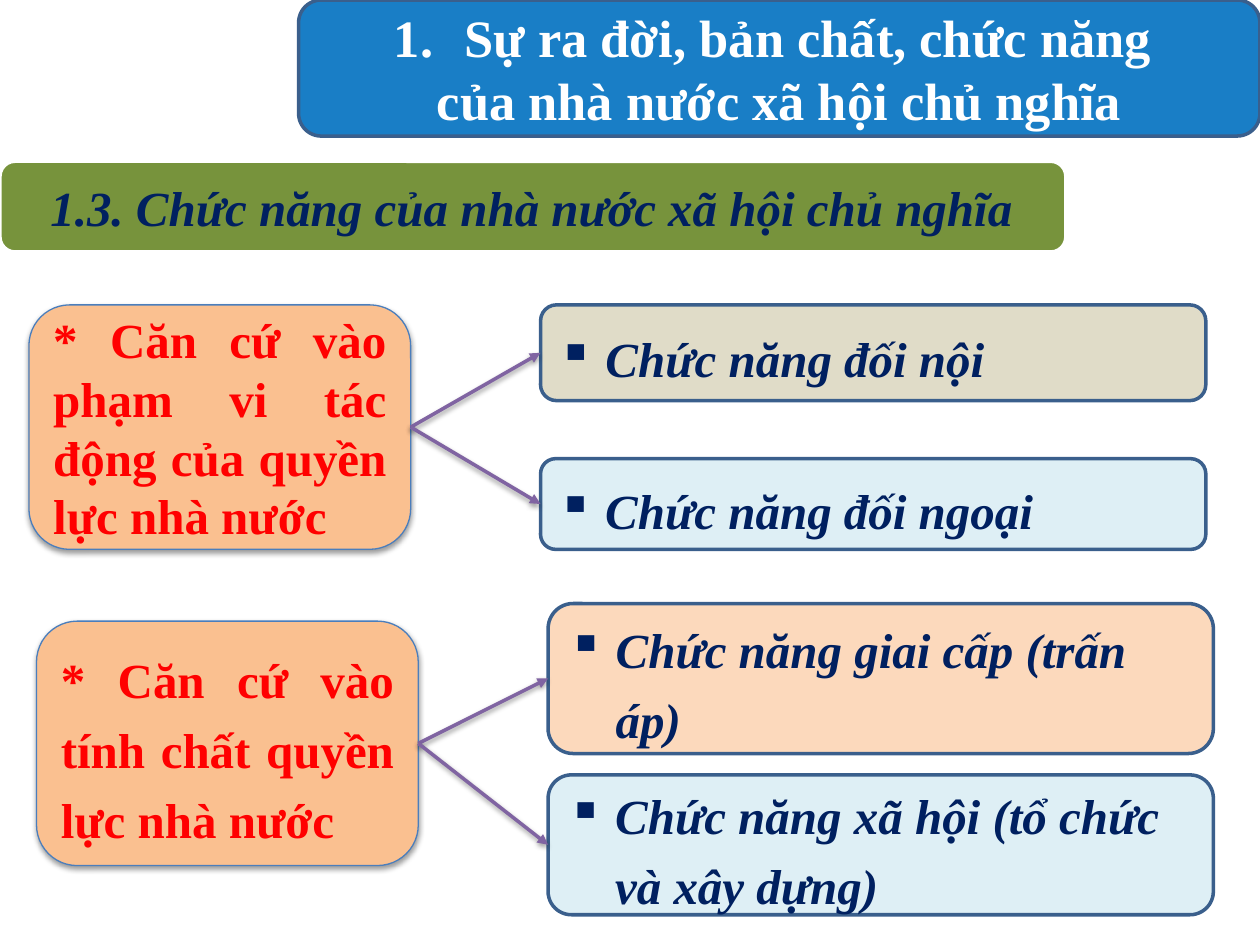
from dataclasses import dataclass

from lxml import etree
from pptx import Presentation
from pptx.dml.color import RGBColor
from pptx.enum.shapes import MSO_CONNECTOR, MSO_SHAPE
from pptx.enum.text import MSO_ANCHOR, PP_ALIGN
from pptx.oxml.ns import qn
from pptx.util import Inches, Pt

ROUNDED = MSO_SHAPE.ROUNDED_RECTANGLE
STRAIGHT = MSO_CONNECTOR.STRAIGHT
MIDDLE = MSO_ANCHOR.MIDDLE
LEFT, CENTER, JUSTIFY = PP_ALIGN.LEFT, PP_ALIGN.CENTER, PP_ALIGN.JUSTIFY
LEFT_SIDE, RIGHT_SIDE = 1, 3
COLUMNS, ROWS = 100, 75


@dataclass(frozen=True)
class Theme:
    """Colours, font and type sizes of the slide."""
    font: str = "Times New Roman"
    title_size: int = 30
    body_size: int = 28
    leading: int = 40
    white: str = "FFFFFF"
    navy: str = "002060"
    red: str = "FF0000"
    title_blue: str = "0070C0"
    green: str = "77933C"
    orange: str = "FAC090"
    sand: str = "DDD9C3"
    ice: str = "DBEEF4"
    peach: str = "FCD5B5"
    frame: str = "3A5F8C"
    basis_frame: str = "4B7EBC"
    arrow: str = "8064A2"


THEME = Theme()


def grid(deck, *cells):
    """Turn alternating column and row counts into slide lengths."""
    units = (deck.slide_width / COLUMNS, deck.slide_height / ROWS)
    return [round(cell * units[index % 2]) for index, cell in enumerate(cells)]


def add_element(parent, tag, **values):
    """Append a DrawingML child with the given attributes."""
    child = etree.SubElement(parent, qn(tag))
    for name, value in values.items():
        child.set(name, str(value))
    return child


def add_shadow(effects):
    """Put a soft downward shadow in an effect list."""
    shadow = add_element(effects, "a:outerShdw", blurRad=Pt(3.1), dist=Pt(1.6),
                         dir=5400000, rotWithShape=0)
    color = add_element(shadow, "a:srgbClr", val="000000")
    add_element(color, "a:alpha", val=38000)


def add_panel(page, area, fill, line, width=2, opacity=100, shadow=False):
    """Draw a rounded panel."""
    panel = page.shapes.add_shape(ROUNDED, *area)
    panel.shadow.inherit = False
    panel.fill.solid()
    panel.fill.fore_color.rgb = RGBColor.from_string(fill)
    panel.line.color.rgb = RGBColor.from_string(line)
    panel.line.width = Pt(width)
    properties = panel._element.spPr
    if opacity < 100:
        color = properties.find(qn("a:solidFill")).find(qn("a:srgbClr"))
        add_element(color, "a:alpha", val=opacity * 1000)
    if shadow:
        add_shadow(properties.find(qn("a:effectLst")))
    return panel


def write(box, lines, color, size=THEME.body_size, align=LEFT, leading=None,
          italic=False, hanging=0, bullet=None):
    """Write lines in a box, with an optional bullet on the first one."""
    frame = box.text_frame
    frame.word_wrap = True
    frame.vertical_anchor = MIDDLE
    for index, line in enumerate(lines):
        para = frame.paragraphs[0] if index == 0 else frame.add_paragraph()
        para.alignment = align
        if leading:
            para.line_spacing = Pt(leading)
        if bullet and index == 0:
            properties = para._p.get_or_add_pPr()
            properties.set("marL", str(Inches(hanging)))
            properties.set("indent", str(-Inches(hanging)))
            tag, values = bullet
            add_element(properties, tag, **values)
        span = para.add_run()
        span.text = line
        formats = {"name": THEME.font, "size": Pt(size), "bold": True, "italic": italic}
        for name, value in formats.items():
            setattr(span.font, name, value)
        span.font.color.rgb = RGBColor.from_string(color)


def add_arrow(page, source, target):
    """Join the right side of one panel to the left side of another."""
    arrow = page.shapes.add_connector(STRAIGHT, 0, 0, 0, 0)
    arrow.begin_connect(source, RIGHT_SIDE)
    arrow.end_connect(target, LEFT_SIDE)
    arrow.line.color.rgb = RGBColor.from_string(THEME.arrow)
    arrow.line.width = Pt(2)
    properties = arrow._element.spPr
    add_element(properties.find(qn("a:ln")), "a:tailEnd", type="triangle")
    add_shadow(add_element(properties, "a:effectLst"))


def add_title(deck, page, area):
    """Draw the numbered chapter title."""
    panel = add_panel(page, grid(deck, *area), THEME.title_blue, THEME.frame, opacity=90)
    lines = ["Sự ra đời, bản chất, chức năng ", "của nhà nước xã hội chủ nghĩa"]
    write(panel, lines, THEME.white, THEME.title_size, CENTER, hanging=0.56,
          bullet=("a:buAutoNum", {"type": "arabicPeriod"}))


def add_section(deck, page, area):
    """Draw the section band and its heading."""
    left, top, width, height = area
    add_panel(page, grid(deck, *area), THEME.green, THEME.white)
    heading = page.shapes.add_textbox(
        *grid(deck, left + 1.6, top + 0.4, width - 1, height - 0.7))
    margins = {"margin_left": 0.24, "margin_top": 0, "margin_right": 0.24, "margin_bottom": 0}
    for name, value in margins.items():
        setattr(heading.text_frame, name, Inches(value))
    write(heading, ["1.3. Chức năng của nhà nước xã hội chủ nghĩa"], THEME.navy, italic=True)


def add_branches(deck, page, area, basis, basis_drop, basis_leading, functions):
    """Draw a basis panel with arrows to functions at the top and bottom of the area."""
    left, top, width, height = area
    source = add_panel(page, grid(deck, left, top + basis_drop, 30.3, 19.4),
                       THEME.orange, THEME.basis_frame, 0.75, shadow=True)
    write(source, [basis], THEME.red, align=JUSTIFY, leading=basis_leading)
    for index, (text, fill, rows) in enumerate(functions):
        place = (left + 40.6, top + index * (height - rows), width - 40.6, rows)
        target = add_panel(page, grid(deck, *place), fill, THEME.frame, opacity=90)
        write(target, [text], THEME.navy, leading=THEME.leading, italic=True,
              hanging=0.38, bullet=("a:buChar", {"char": "▪"}))
        add_arrow(page, source, target)


def main():
    """Build and save the slide."""
    deck = Presentation()
    deck.slide_width, deck.slide_height = Inches(10), Inches(7.5)
    page = deck.slides.add_slide(deck.slide_layouts[6])
    add_section(deck, page, (0, 12.8, 84.6, 7.2))
    add_title(deck, page, (23.7, 0, 76.3, 10.8))
    add_branches(deck, page, (2.3, 24.2, 93.4, 19.4),
                 "* Căn cứ vào phạm vi tác động của quyền lực nhà nước", 0, None,
                 [("Chức năng đối nội", THEME.sand, 7.6),
                  ("Chức năng đối ngoại", THEME.ice, 7.2)])
    add_branches(deck, page, (2.9, 47.9, 93.4, 24.7),
                 "* Căn cứ vào tính chất quyền lực nhà nước", 1.4, THEME.leading,
                 [("Chức năng giai cấp (trấn áp)", THEME.peach, 11.9),
                  ("Chức năng xã hội (tổ chức và xây dựng)", THEME.ice, 11.1)])
    deck.save("out.pptx")


if __name__ == "__main__":
    main()
